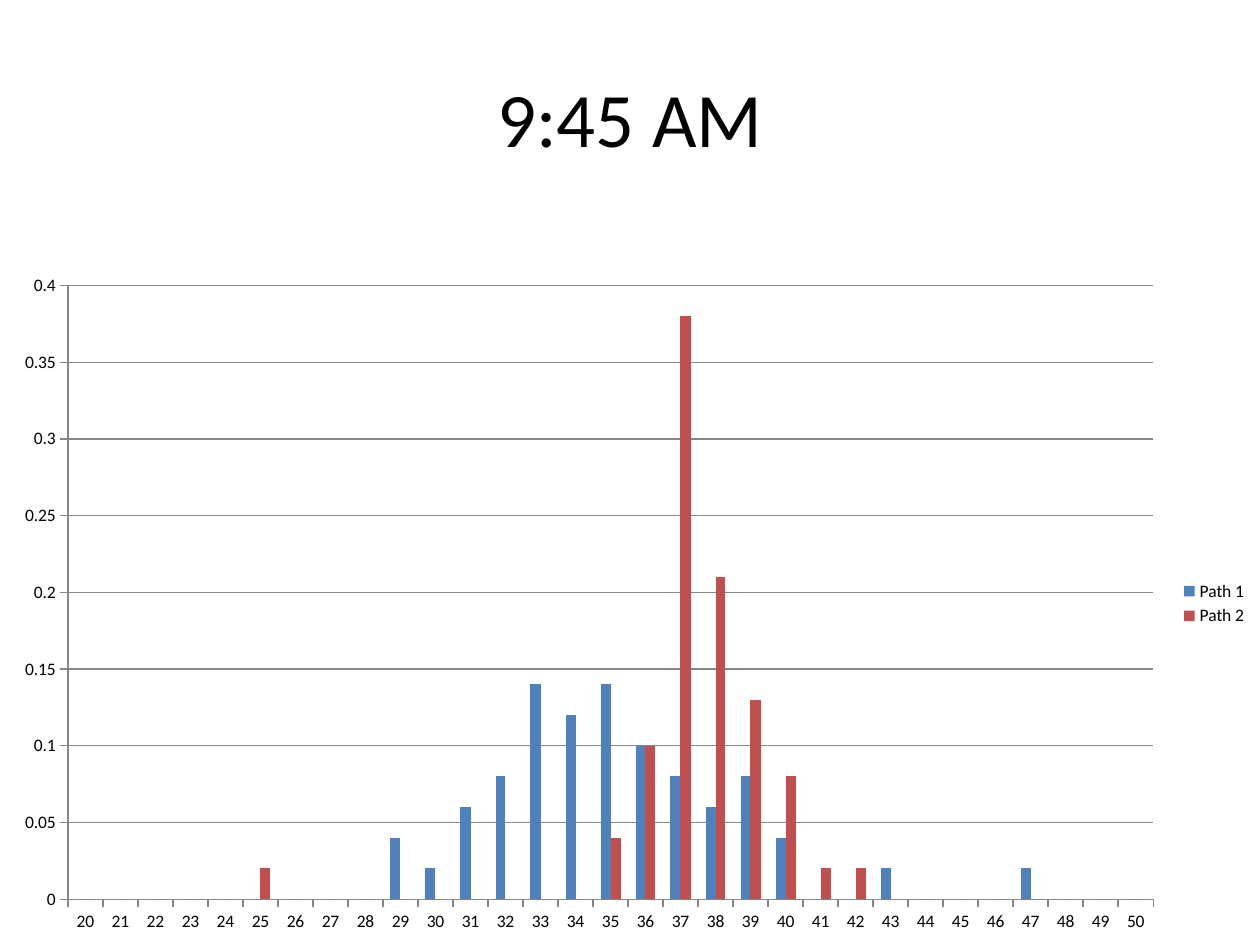
from pptx import Presentation
from pptx.chart.data import CategoryChartData
from pptx.dml.color import RGBColor
from pptx.enum.chart import XL_CHART_TYPE, XL_LEGEND_POSITION, XL_TICK_MARK
from pptx.enum.text import MSO_ANCHOR, PP_ALIGN
from pptx.util import Inches, Pt

BLACK = RGBColor(0x00, 0x00, 0x00)
GRAY = RGBColor(0x86, 0x86, 0x86)
BLUE = RGBColor(0x4F, 0x81, 0xBD)
RED = RGBColor(0xC0, 0x50, 0x4D)
FONT = "Calibri"

BINS = range(20, 51)
PATHS = [
    ("Path 1", BLUE, {29: 0.04, 30: 0.02, 31: 0.06, 32: 0.08, 33: 0.14, 34: 0.12,
                      35: 0.14, 36: 0.1, 37: 0.08, 38: 0.06, 39: 0.08, 40: 0.04,
                      43: 0.02, 47: 0.02}),
    ("Path 2", RED, {25: 0.02, 35: 0.04, 36: 0.1, 37: 0.38, 38: 0.21, 39: 0.13,
                     40: 0.08, 41: 0.02, 42: 0.02}),
]


def style_font(font, size):
    font.name = FONT
    font.size = Pt(size)
    font.color.rgb = BLACK


def set_title(slide, text):
    title = slide.shapes.title
    title.left, title.top = Inches(0.5), Inches(0.3)
    title.width, title.height = Inches(9), Inches(1.25)
    frame = title.text_frame
    frame.text = text
    frame.vertical_anchor = MSO_ANCHOR.MIDDLE
    paragraph = frame.paragraphs[0]
    paragraph.alignment = PP_ALIGN.CENTER
    style_font(paragraph.runs[0].font, 44)


def style_line(line):
    line.color.rgb = GRAY
    line.width = Pt(0.75)


def style_axis(axis):
    axis.major_tick_mark = XL_TICK_MARK.OUTSIDE
    axis.minor_tick_mark = XL_TICK_MARK.NONE
    style_line(axis.format.line)


def add_histogram(slide):
    data = CategoryChartData()
    data.categories = [str(value) for value in BINS]
    for name, _, shares in PATHS:
        data.add_series(name, [shares.get(value, 0) for value in BINS])
    chart = slide.shapes.add_chart(
        XL_CHART_TYPE.COLUMN_CLUSTERED,
        Inches(0), Inches(2.08), Inches(10), Inches(5.42), data).chart
    style_font(chart.font, 10)
    chart.has_title = False
    chart.has_legend = True
    chart.legend.position = XL_LEGEND_POSITION.RIGHT
    chart.legend.include_in_layout = False

    plot = chart.plots[0]
    plot.vary_by_categories = False
    plot.gap_width = 150
    plot.overlap = 0
    for series, (_, color, _) in zip(plot.series, PATHS):
        series.format.fill.solid()
        series.format.fill.fore_color.rgb = color

    style_axis(chart.category_axis)
    shares_axis = chart.value_axis
    style_axis(shares_axis)
    shares_axis.minimum_scale = 0
    shares_axis.maximum_scale = 0.4
    shares_axis.major_unit = 0.05
    shares_axis.has_major_gridlines = True
    style_line(shares_axis.major_gridlines.format.line)


def main():
    deck = Presentation()
    deck.slide_width, deck.slide_height = Inches(10), Inches(7.5)
    slide = deck.slides.add_slide(deck.slide_layouts[5])
    set_title(slide, "9:45 AM")
    add_histogram(slide)
    deck.save("out.pptx")


main()
